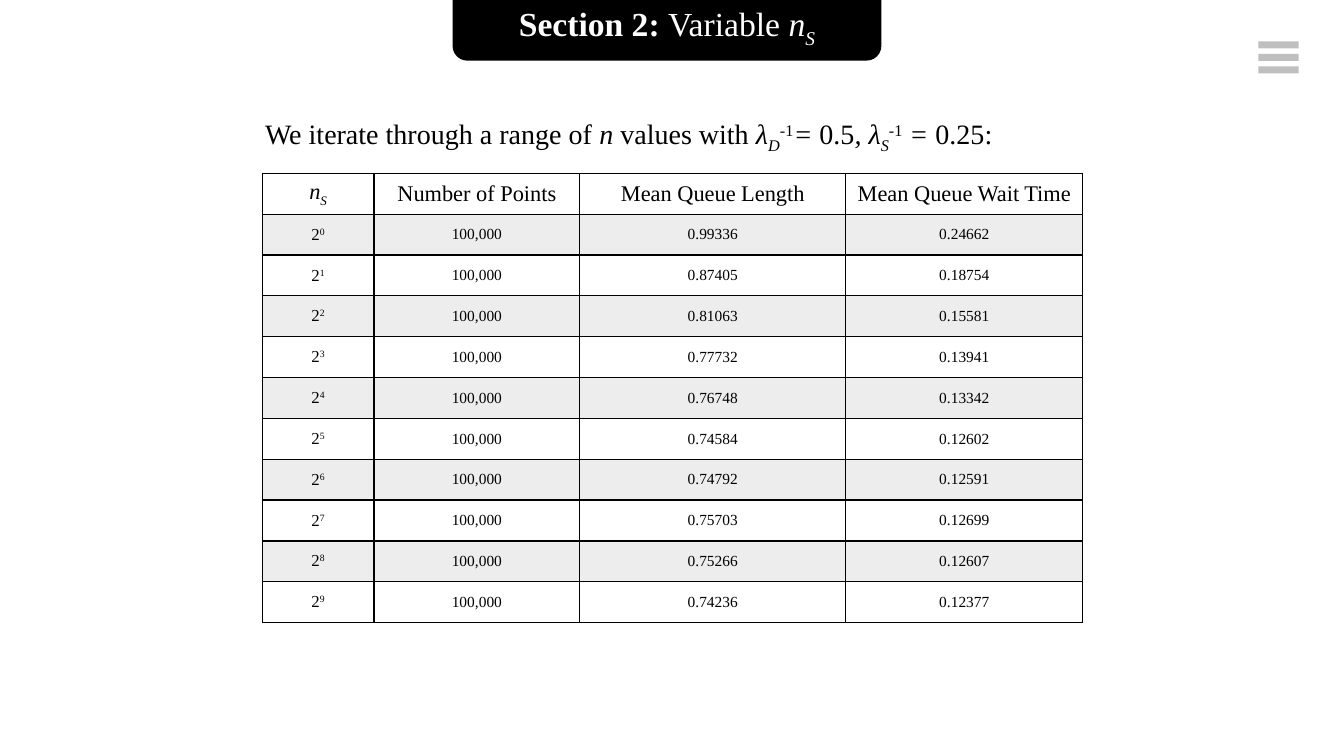
from dataclasses import dataclass

from lxml.etree import SubElement
from pptx import Presentation
from pptx.dml.color import RGBColor
from pptx.enum.shapes import MSO_SHAPE
from pptx.enum.text import MSO_ANCHOR, MSO_AUTO_SIZE, PP_ALIGN
from pptx.oxml import parse_xml
from pptx.oxml.ns import nsdecls, qn
from pptx.util import Inches, Pt


@dataclass(frozen=True)
class Theme:
    font: str = "Times New Roman"
    ink: str = "000000"
    paper: str = "FFFFFF"
    band: str = "A5A5A5"
    band_opacity: int = 20
    menu: str = "BFBFBF"
    title_size: int = 24
    intro_size: int = 20
    header_size: int = 16
    power_size: int = 12
    value_size: int = 11
    border: int = 1
    banner_line: float = 4.5


THEME = Theme()
GRID = Inches(0.1)
BASELINES = {"_": "-25000", "^": "30000"}

TITLE = [("Section 2: ", "b"), ("Variable ", ""), ("n", "i"), ("S", "i_")]
INTRO = [
    ("We iterate through a range of ", ""), ("n", "i"), (" values with ", ""),
    ("λ", "i"), ("D", "i_"), ("-1", "^"), ("= ", "i"), ("0.5", ""),
    (", λ", "i"), ("S", "i_"), ("-1", "^"), (" = ", "i"), ("0.25:", ""),
]
HEADERS = [
    [("n", "i"), ("S", "i_")],
    [("Number of Points", "")],
    [("Mean Queue Length", "")],
    [("Mean Queue Wait Time", "")],
]
POINTS = "100,000"
RESULTS = [
    ("0.99336", "0.24662"), ("0.87405", "0.18754"),
    ("0.81063", "0.15581"), ("0.77732", "0.13941"),
    ("0.76748", "0.13342"), ("0.74584", "0.12602"),
    ("0.74792", "0.12591"), ("0.75703", "0.12699"),
    ("0.75266", "0.12607"), ("0.74236", "0.12377"),
]
COLUMN_WIDTHS = [11.1, 20.4, 26.4, 23.5]


def cells(*counts):
    return [round(count * GRID) for count in counts]


def color(value):
    return RGBColor.from_string(value)


def write(frame, pieces, size, ink, align=PP_ALIGN.LEFT):
    para = frame.paragraphs[0]
    para.alignment = align
    for text, style in pieces:
        span = para.add_run()
        span.text = text
        span.font.name = THEME.font
        span.font.size = Pt(size)
        span.font.color.rgb = color(ink)
        span.font.bold = "b" in style
        span.font.italic = "i" in style
        for mark, baseline in BASELINES.items():
            if mark in style:
                span.font._element.set("baseline", baseline)


def add_block(shapes, kind, box, fill):
    block = shapes.add_shape(kind, *cells(*box))
    block.shadow.inherit = False
    block.fill.solid()
    block.fill.fore_color.rgb = color(fill)
    block.line.fill.background()
    return block


def add_banner(page, box):
    banner = add_block(page.shapes, MSO_SHAPE.ROUNDED_RECTANGLE, box, THEME.ink)
    banner.line.color.rgb = color(THEME.ink)
    banner.line.width = Pt(THEME.banner_line)
    banner.text_frame.word_wrap = True
    banner.text_frame.vertical_anchor = MSO_ANCHOR.BOTTOM
    write(banner.text_frame, TITLE, THEME.title_size, THEME.paper, PP_ALIGN.CENTER)


def add_menu(page, box):
    left, top, width, height = box
    bar_height = 0.7
    step = (height - bar_height) / 2
    menu = page.shapes.add_group_shape()
    for index in range(3):
        bar = (left, top + index * step, width, bar_height)
        add_block(menu.shapes, MSO_SHAPE.RECTANGLE, bar, THEME.menu)


def add_intro(page, box):
    frame = page.shapes.add_textbox(*cells(*box)).text_frame
    frame.word_wrap = True
    frame.auto_size = MSO_AUTO_SIZE.SHAPE_TO_FIT_TEXT
    write(frame, INTRO, THEME.intro_size, THEME.ink)


def draw_borders(cell):
    properties = cell._tc.get_or_add_tcPr()
    for position, side in enumerate("LRTB"):
        edge = parse_xml(
            f'<a:ln{side} {nsdecls("a")} w="{Pt(THEME.border)}"><a:solidFill>'
            f'<a:srgbClr val="{THEME.ink}"/></a:solidFill></a:ln{side}>'
        )
        properties.insert(position, edge)


def paint_cell(cell, banded):
    if not banded:
        cell.fill.background()
        return
    cell.fill.solid()
    cell.fill.fore_color.rgb = color(THEME.band)
    tint = cell._tc.tcPr.find(qn("a:solidFill")).find(qn("a:srgbClr"))
    SubElement(tint, qn("a:alpha")).set("val", str(THEME.band_opacity * 1000))


def add_results(page, box):
    rows = [[(pieces, THEME.header_size) for pieces in HEADERS]]
    for power, (length, wait) in enumerate(RESULTS):
        values = [([(text, "")], THEME.value_size) for text in (POINTS, length, wait)]
        rows.append([([("2", ""), (str(power), "^")], THEME.power_size), *values])
    shape = page.shapes.add_table(len(rows), len(HEADERS), *cells(*box))
    table = shape.table
    table.first_row = False
    table.horz_banding = False
    for column, width in zip(table.columns, cells(*COLUMN_WIDTHS)):
        column.width = width
    for row_index, row in enumerate(rows):
        for column_index, (pieces, size) in enumerate(row):
            cell = table.cell(row_index, column_index)
            cell.vertical_anchor = MSO_ANCHOR.MIDDLE
            write(cell.text_frame, pieces, size, THEME.ink, PP_ALIGN.CENTER)
            paint_cell(cell, row_index % 2 == 1)
            draw_borders(cell)


def main():
    deck = Presentation()
    deck.slide_width, deck.slide_height = Inches(13.33), Inches(7.5)
    page = deck.slides.add_slide(deck.slide_layouts[6])
    add_intro(page, (25.3, 11.1, 82.2, 4.4))
    add_results(page, (26, 17.2, sum(COLUMN_WIDTHS), 44.6))
    add_banner(page, (45.2, -1.2, 41.9, 6.9))
    add_menu(page, (124.8, 4.1, 4, 3.2))
    deck.save("out.pptx")


if __name__ == "__main__":
    main()
